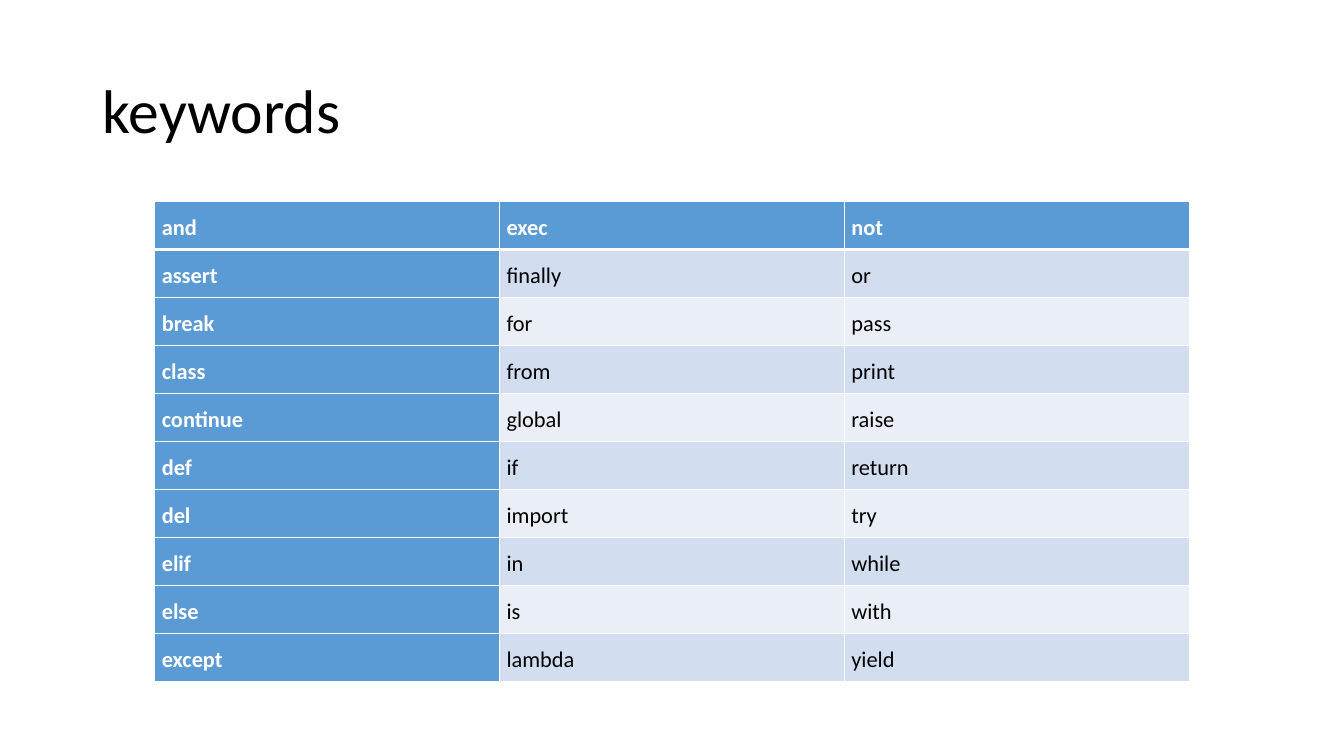
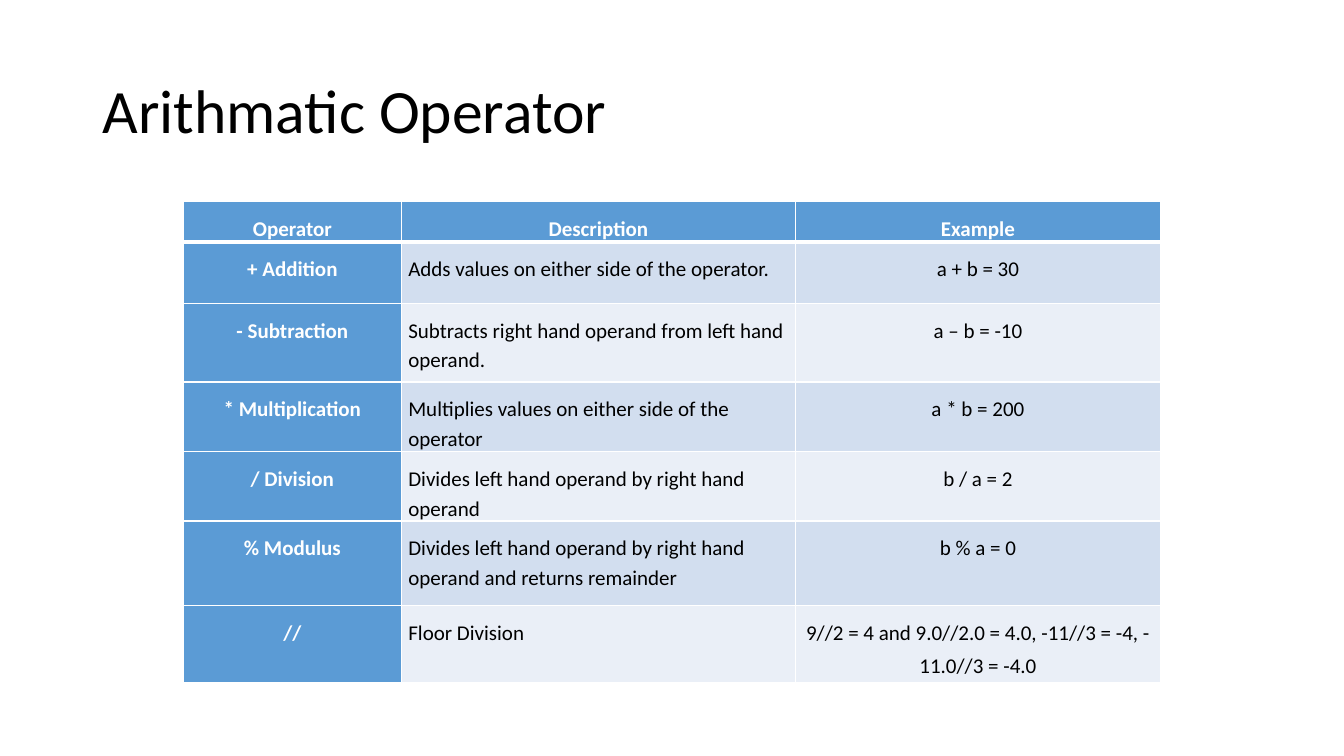
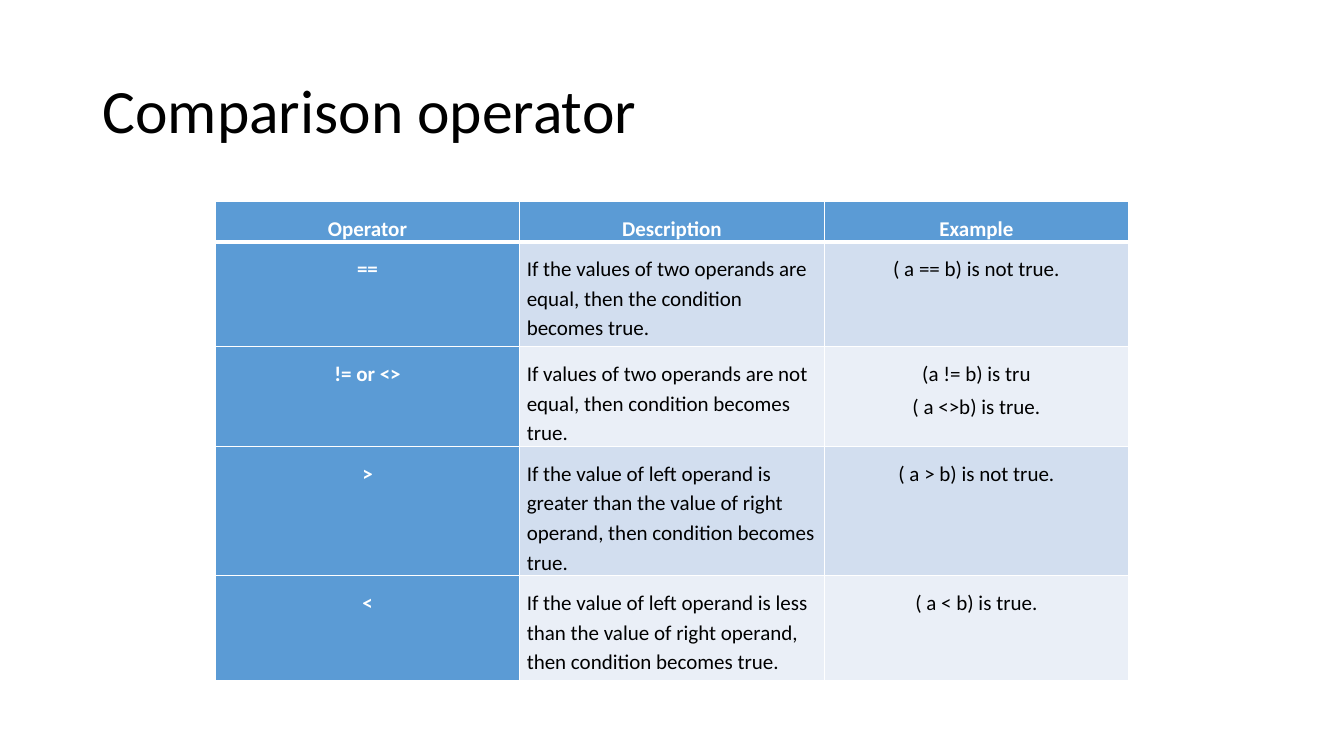
from pptx import Presentation
from pptx.dml.color import RGBColor
from pptx.enum.text import MSO_ANCHOR, PP_ALIGN
from pptx.oxml.ns import qn
from pptx.util import Inches, Pt
from lxml import etree

MIDDLE, TOP = MSO_ANCHOR.MIDDLE, MSO_ANCHOR.TOP
LEFT, CENTER = PP_ALIGN.LEFT, PP_ALIGN.CENTER

SLIDE_WIDTH, SLIDE_HEIGHT = 13.33, 7.5
TABLE_TOP, TABLE_HEIGHT = 2, 4.76
BLANK_LAYOUT = 6

KEYWORDS = [
    ("and", "exec", "not"),
    ("assert", "finally", "or"),
    ("break", "for", "pass"),
    ("class", "from", "print"),
    ("continue", "global", "raise"),
    ("def", "if", "return"),
    ("del", "import", "try"),
    ("elif", "in", "while"),
    ("else", "is", "with"),
    ("except", "lambda", "yield"),
]
OPERATOR_HEADER = ("Operator", "Description", "Example")
ARITHMETIC = [
    OPERATOR_HEADER,
    ("+ Addition", "Adds values on either side of the operator.", "a + b = 30"),
    ("- Subtraction", "Subtracts right hand operand from left hand operand.", "a – b = -10"),
    ("* Multiplication", "Multiplies values on either side of the operator", "a * b = 200"),
    ("/ Division", "Divides left hand operand by right hand operand", "b / a = 2"),
    ("% Modulus", "Divides left hand operand by right hand operand and returns remainder",
     "b % a = 0"),
    ("//", "Floor Division", "9//2 = 4 and 9.0//2.0 = 4.0, -11//3 = -4, -\n11.0//3 = -4.0"),
]
COMPARISON = [
    OPERATOR_HEADER,
    ("==", "If the values of two operands are equal, then the condition becomes true.",
     "( a == b) is not true."),
    ("!= or <>", "If values of two operands are not equal, then condition becomes true.",
     "(a != b) is tru\n( a <>b) is true."),
    (">", "If the value of left operand is greater than the value of right operand, "
          "then condition becomes true.", "( a > b) is not true."),
    ("<", "If the value of left operand is less than the value of right operand, "
          "then condition becomes true.", "( a < b) is true."),
]

KEYWORD_FORMAT = {"size": 16, "top_margin": 0, "anchor": MIDDLE, "centered": False}
OPERATOR_FORMAT = {"size": 15, "top_margin": 0.11, "anchor": TOP, "centered": True}


def color(hex_text):
    return RGBColor.from_string(hex_text)


def apply(target, values):
    for name, value in values.items():
        setattr(target, name, value)


class Deck:
    """Holds the shared style and the current slide."""

    FONT = "Calibri"
    BLACK, WHITE = "000000", "FFFFFF"
    ACCENT = "5B9BD5"
    BANDS = ("EAEFF7", "D2DEEF")
    THIN, THICK = 1, 3

    def __init__(self):
        self.presentation = Presentation()
        apply(self.presentation, {"slide_width": Inches(SLIDE_WIDTH),
                                  "slide_height": Inches(SLIDE_HEIGHT)})
        self.slide = None

    def add_slide(self, title):
        layout = self.presentation.slide_layouts[BLANK_LAYOUT]
        self.slide = self.presentation.slides.add_slide(layout)
        box = self.slide.shapes.add_textbox(Inches(0.92), Inches(0.4), Inches(11.5), Inches(1.45))
        apply(box.text_frame, {"word_wrap": True, "vertical_anchor": MIDDLE})
        self.set_text(box.text_frame, title, 44, self.BLACK, line_spacing=0.9)

    def set_text(self, frame, text, size, hex_text, bold=False, alignment=LEFT,
                 line_spacing=1.15):
        """Fill a text frame, one paragraph for each line of the text."""
        frame.text = text
        for paragraph in frame.paragraphs:
            apply(paragraph, {"alignment": alignment, "line_spacing": line_spacing})
            apply(paragraph.font, {"name": self.FONT, "size": Pt(size), "bold": bold})
            paragraph.font.color.rgb = color(hex_text)
        for paragraph in frame.paragraphs[:-1]:
            paragraph.space_after = Pt(2.6)

    def add_borders(self, cell, row_index):
        """Draw white cell borders, thick between the header and the body."""
        thick_side = {0: "lnB", 1: "lnT"}.get(row_index)
        properties = cell._tc.get_or_add_tcPr()
        for side in ("lnL", "lnR", "lnT", "lnB"):
            width = self.THICK if side == thick_side else self.THIN
            line = etree.SubElement(properties, qn(f"a:{side}"), w=str(Pt(width)))
            fill = etree.SubElement(line, qn("a:solidFill"))
            etree.SubElement(fill, qn("a:srgbClr"), val=self.WHITE)

    def add_table(self, rows, column_widths, row_heights, style):
        """Add a table centred on the slide, with a header row and column."""
        width = sum(column_widths)
        frame = self.slide.shapes.add_table(
            len(rows), len(column_widths), Inches((SLIDE_WIDTH - width) / 2),
            Inches(TABLE_TOP), Inches(width), Inches(TABLE_HEIGHT))
        table = frame.table
        apply(table, {"first_col": True, "horz_banding": False})
        for column, column_width in zip(table.columns, column_widths):
            column.width = Inches(column_width)
        for row, row_height in zip(table.rows, row_heights):
            row.height = Inches(row_height)
        for row_index, texts in enumerate(rows):
            for column_index, text in enumerate(texts):
                self.fill_cell(table.cell(row_index, column_index), text,
                               row_index, column_index, style)

    def fill_cell(self, cell, text, row_index, column_index, style):
        is_header = row_index == 0 or column_index == 0
        is_description = row_index > 0 and column_index == 1
        self.add_borders(cell, row_index)
        cell.fill.solid()
        cell.fill.fore_color.rgb = color(self.ACCENT if is_header else self.BANDS[row_index % 2])
        apply(cell, {"margin_left": Inches(0.07), "margin_right": Inches(0.07),
                     "margin_top": Inches(style["top_margin"]), "margin_bottom": 0,
                     "vertical_anchor": style["anchor"]})
        self.set_text(cell.text_frame, text, style["size"],
                      self.WHITE if is_header else self.BLACK, bold=is_header,
                      alignment=CENTER if style["centered"] and not is_description else LEFT)


def main():
    deck = Deck()
    deck.add_slide("keywords")
    deck.add_table(KEYWORDS, [3.42] * 3, [TABLE_HEIGHT / len(KEYWORDS)] * len(KEYWORDS),
                   KEYWORD_FORMAT)
    deck.add_slide("Arithmatic Operator")
    deck.add_table(ARITHMETIC, [2.16, 3.91, 3.62], [0.4, 0.61, 0.78, 0.69, 0.69, 0.84, 0.76],
                   OPERATOR_FORMAT)
    deck.add_slide("Comparison operator")
    deck.add_table(COMPARISON, [3.02] * 3, [0.4, 1.04, 0.99, 1.28, 1.04], OPERATOR_FORMAT)
    deck.presentation.save("out.pptx")


if __name__ == "__main__":
    main()
